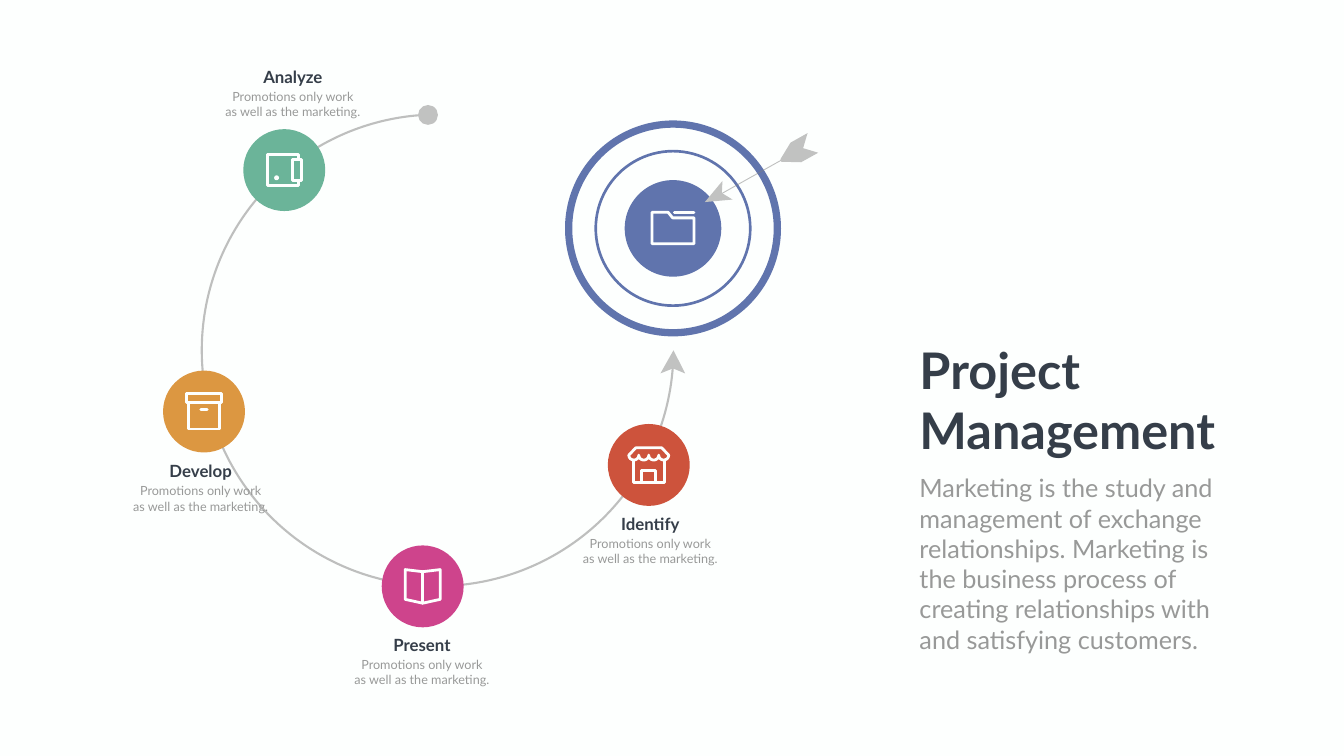
from math import cos, sin, radians
from pptx import Presentation
from pptx import util as u
from pptx.dml import color
from pptx.enum import shapes, text
from pptx.oxml import ns, xmlchemy

Pt = u.Pt
WHITE, GREY, DARK, SOFT, BLUE = "FDFFFE", "C1C2C1", "353E49", "989998", "6074AD"
HEAD = {"size": Pt(24), "bold": True, "name": "Lato"}
NOTE = {"size": Pt(18), "bold": False, "name": "Lato"}
TITLE = {"size": Pt(72), "bold": True, "name": "Lato"}
BODY = {"size": Pt(36), "bold": False, "name": "Lato"}
LEFT, MID = text.PP_ALIGN.LEFT, text.PP_ALIGN.CENTER
KIND = shapes.MSO_SHAPE


def rgb(hue):
    """Turn a hex string into a colour."""
    return color.RGBColor.from_string(hue)


def box(x1, y1, x2, y2):
    """Return the corners of a rectangle."""
    return [(x1, y1), (x2, y1), (x2, y2), (x1, y2)]


def add(node, tag, **vals):
    """Append a drawing element to a node."""
    kid = xmlchemy.OxmlElement(tag)
    for key, val in vals.items():
        kid.set(key, val)
    node.append(kid)


class Deck:
    """Hold the style and the current slide."""

    def __init__(self, wide, high):
        """Open a deck with one slide."""
        self.prs = Presentation()
        self.prs.slide_width, self.prs.slide_height = Pt(wide), Pt(high)
        self.slide = self.prs.slides.add_slide(self.prs.slide_layouts[1])
        self.draw = self.slide.shapes
        back = self.slide.background.fill
        back.solid()
        back.fore_color.rgb = rgb(WHITE)

    def paint(self, shape, fill=None, line=None, width=4, alpha=None):
        """Set fill and line and drop the shadow."""
        if fill:
            shape.fill.solid()
            shape.fill.fore_color.rgb = rgb(fill)
        elif hasattr(shape, "fill"):
            shape.fill.background()
        if line:
            shape.line.color.rgb = rgb(line)
            shape.line.width = Pt(width)
            edge = shape.element.spPr.find(ns.qn("a:ln"))
            edge.set("cap", "rnd")
            if alpha:
                add(edge.find(".//" + ns.qn("a:srgbClr")), "a:alpha", val=str(alpha * 1000))
        else:
            shape.line.fill.background()
        if hasattr(shape, "shadow"):
            shape.shadow.inherit = False
        else:
            add(shape.element.spPr, "a:effectLst")

    def round(self, mid, size, kind=KIND.OVAL, adj=(), **look):
        """Draw a round shape about its centre."""
        x, y = mid
        shape = self.draw.add_shape(
            kind, Pt(x - size / 2), Pt(y - size / 2), Pt(size), Pt(size))
        for i, val in enumerate(adj):
            shape.adjustments[i] = val
        self.paint(shape, **look)

    def poly(self, pts, mid=(0, 0), close=True, **look):
        """Draw an outline with points set from a centre."""
        pts = [(Pt(mid[0] + x), Pt(mid[1] + y)) for x, y in pts]
        form = self.draw.build_freeform(*pts[0])
        form.add_line_segments(pts[1:], close=close)
        self.paint(form.convert_to_shape(), **look)

    def line(self, start, end, mid=(0, 0), **look):
        """Draw a straight line."""
        ends = [Pt(mid[i] + pt[i]) for pt in (start, end) for i in (0, 1)]
        self.paint(self.draw.add_connector(shapes.MSO_CONNECTOR.STRAIGHT, *ends), **look)

    def words(self, shape, lines, hue, style, align=LEFT, wrap=True):
        """Fill a text frame with styled paragraphs."""
        frame = shape.text_frame
        look = {"word_wrap": wrap, "vertical_anchor": text.MSO_ANCHOR.TOP,
                "auto_size": text.MSO_AUTO_SIZE.SHAPE_TO_FIT_TEXT}
        for key, val in look.items():
            setattr(frame, key, val)
        frame.text = "\n".join(lines)
        for para in frame.paragraphs:
            para.alignment, para.space_before = align, Pt(0)
            if shape.is_placeholder:
                props = para._p.get_or_add_pPr()
                props.set("marL", "0")
                props.set("indent", "0")
                add(props, "a:buNone")
            for key, val in style.items():
                setattr(para.font, key, val)
            para.font.color.rgb = rgb(hue)

    def label(self, mid, top, head, note):
        """Set a heading with a note below it."""
        for lines, wide, y, high, hue, style in (
                ([head], 145, top, 36, DARK, HEAD),
                (note, 225, top + 31.7, 51, SOFT, NOTE)):
            spot = self.draw.add_textbox(Pt(mid - wide / 2), Pt(y), Pt(wide), Pt(high))
            self.words(spot, lines, hue, style, MID)

    def place(self, shape, area, *args, **look):
        """Move a placeholder and fill it with text."""
        for key, val in zip(("left", "top", "width", "height"), area):
            setattr(shape, key, Pt(val))
        self.words(shape, *args, **look)

    def icon(self, mid, loops=(), paths=(), lines=()):
        """Draw a white line icon."""
        for pts in loops:
            self.poly(pts, mid, line=WHITE)
        for pts in paths:
            self.poly(pts, mid, close=False, line=WHITE)
        for start, end in lines:
            self.line(start, end, mid, line=WHITE)


def main():
    """Build the slide."""
    deck = Deck(1919.52, 1080)
    goal = (961.2, 326.3)
    pale = {"line": "808080", "alpha": 50}
    deck.round((625, 500.4), 673.6, KIND.ARC, (3.8 * 0.6, 267.8 * 0.6), width=3, **pale)
    deck.poly([(961.9, 500.4), (978.5, 533.5), (961.2, 526.3), (943.2, 533.5)], fill=GREY)
    deck.round((611.3, 164.2), 28.4, fill=GREY)
    for size, rim in ((308.5, 10.4), (224.5, 3.8)):
        deck.round(goal, size, KIND.DONUT, (rim / size,), fill=BLUE)
    deck.round(goal, 138, fill=BLUE)
    deck.line((1029.6, 277.2), (1118.2, 227.5), width=1.28, **pale)
    deck.poly([(1006.6, 288.7), (1046.2, 285.1), (1031, 275.8), (1031.8, 258.5)], fill=GREY)
    deck.poly([(1114.6, 227.5), (1129, 203.8), (1153.4, 190.1), (1147, 211.7),
               (1168.6, 218.2), (1144.1, 231.8), (1116, 231.1)], fill=GREY)

    wave = [(21.38 - 14.25 * i + 7.12 * cos(radians(a)), -14 + 7 * sin(radians(a)))
            for i in range(4) for a in range(0, 181, 15)]
    steps = (
        ("Analyze", (406, 243), "6BB499", 418.3, 92.2, {
            "loops": [box(12, -15.5, 25, 15)],
            "paths": [[(20.5, -15.5), (20.5, -22), (-24, -22), (-24, 22), (20.5, 22), (20.5, 15)]]}),
        ("Develop", (291.4, 587.9), "DC9741", 286.6, 655.2, {
            "loops": [box(-25.5, -25.5, 25.5, -13.2), box(-22, -13.2, 22, 25)],
            "lines": [((-4.5, -3.2), (4.5, -3.2))]}),
        ("Present", (603.7, 837.7), "CE448C", 602.6, 902.9, {
            "loops": [[(-25, -24), (0, -21), (25, -24), (25, 18.5), (0, 24), (-25, 18.5)]],
            "lines": [((0, -21), (0, 24))]}),
        ("Identify", (926.6, 664.2), "CD533C", 928.8, 730.8, {
            "loops": [[(-18.5, -24.5), (18.5, -24.5)] + wave],
            "paths": [[(-22, -7), (-22, 25), (22, 25), (22, -7)],
                      [(-10, 25), (-10, 7.5), (10, 7.5), (10, 25)]]}),
    )
    note = ["Promotions only work", "as well as the marketing."]
    for head, mid, hue, x, top, art in steps:
        deck.round(mid, 117, fill=hue)
        deck.icon(mid, **art)
        deck.label(x, top, head, note)
    deck.round((395, 254), 7, fill=WHITE)
    deck.icon(goal, loops=[[(-30, -23), (-7, -23), (-0.5, -15), (30, -15), (30, 22), (-30, 22)]],
              lines=[((2, -23), (30, -23))])

    deck.place(deck.draw.title, (1306, 480.2, 446.4, 181.4),
               ["Project", "Management"], DARK, TITLE, wrap=False)
    deck.place(deck.slide.placeholders[1], (1306, 671.8, 470.9, 269.3),
               ["Marketing is the study and management of exchange relationships. "
                "Marketing is the business process of creating relationships with "
                "and satisfying customers."], SOFT, BODY)
    deck.prs.save("out.pptx")


if __name__ == "__main__":
    main()
